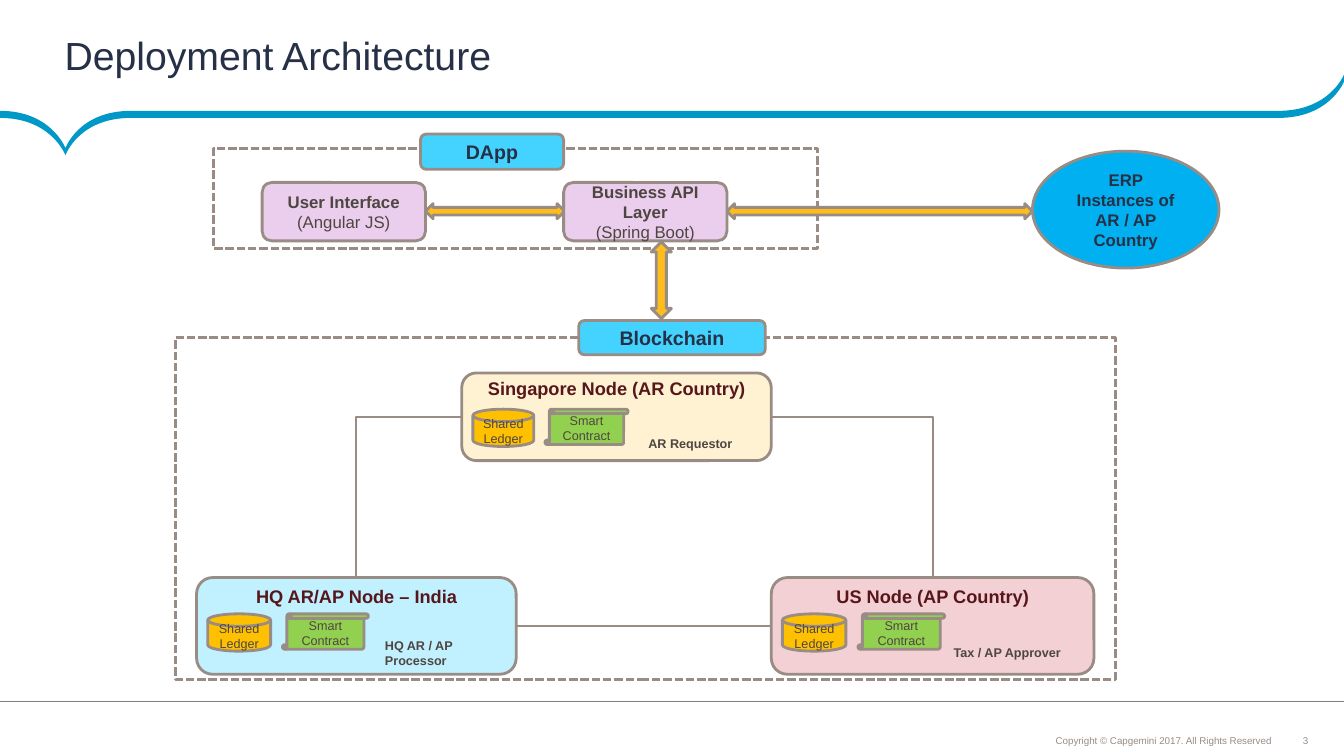
from pptx import Presentation
from pptx.dml.color import RGBColor
from pptx.enum.dml import MSO_LINE
from pptx.enum.shapes import MSO_CONNECTOR, MSO_SHAPE
from pptx.enum.text import MSO_ANCHOR, PP_ALIGN
from pptx.util import Inches, Pt
from lxml.etree import SubElement
from pptx.oxml.ns import qn

GREY, NAVY, BROWN, MAROON = "998C85", "263147", "4E4641", "56161B"
BLUE, SKY, LILAC, AMBER = "0098C7", "44D3FF", "EBCDED", "FFBC1D"
LEFT, CENTER, RIGHT = PP_ALIGN.LEFT, PP_ALIGN.CENTER, PP_ALIGN.RIGHT
TOP, MIDDLE = MSO_ANCHOR.TOP, MSO_ANCHOR.MIDDLE


def color(hex_string):
    return RGBColor.from_string(hex_string)


def add_box(kind, at, text="", fill=None, line=None, dash=None, size=12, ink=BROWN,
            bold=False, align=CENTER, anchor=MIDDLE, ins=(0.1, 0.05, 0.1, 0.05)):
    """Add a shape, or a text box if kind is None; bold marks only the first line."""
    at = [Inches(v) for v in at]
    sp = s.shapes.add_shape(kind, *at) if kind else s.shapes.add_textbox(*at)
    if kind:
        sp.shadow.inherit = False
    if fill:
        sp.fill.solid()
        sp.fill.fore_color.rgb = color(fill)
    else:
        sp.fill.background()
    if line:
        sp.line.color.rgb = color(line)
        sp.line.width = Pt(2)
        sp.line.dash_style = dash
    else:
        sp.line.fill.background()
    tf = sp.text_frame
    tf.word_wrap = True
    tf.vertical_anchor = anchor
    tf.margin_left, tf.margin_top, tf.margin_right, tf.margin_bottom = map(Inches, ins)
    for i, words in enumerate(text.split("\n") if text else []):
        p = tf.paragraphs[0] if i == 0 else tf.add_paragraph()
        p.alignment = align
        r = p.add_run()
        r.text = words
        r.font.name, r.font.size = "Arial", Pt(size)
        r.font.bold = bold and i == 0
        r.font.color.rgb = color(ink)
    return sp


prs = Presentation()
prs.slide_width, prs.slide_height = Inches(13.33), Inches(7.5)
s = prs.slides.add_slide(prs.slide_layouts[6])

# Header band: a start and four Bezier curves, closed by the same edge moved down
edge = [(0, 1.1),
        (0.51, 1.1), (0.65, 1.47), (0.65, 1.47),
        (0.65, 1.47), (0.78, 1.1), (1.3, 1.1),
        (1.3, 1.1), (12.68, 1.1), (12.68, 1.1),
        (13.19, 1.1), (13.33, 0.74), (13.33, 0.74)]
outline = edge + [(x, y + 0.07) for x, y in reversed(edge)]
points = [(Inches(x), Inches(y)) for x, y in outline]
fb = s.shapes.build_freeform(*points[0])
fb.add_line_segments(points[1:], close=True)
band = fb.convert_to_shape()
band.shadow.inherit = False
band.fill.solid()
band.fill.fore_color.rgb = color(BLUE)
band.line.fill.background()

# Each three points along an edge become one curve; the joining side stays straight
segments = list(band._element.iter(qn("a:lnTo")))
for first in (0, 3, 6, 9, 13, 16, 19, 22):
    curve = segments[first]
    for other in segments[first + 1:first + 3]:
        curve.append(other[0])
        other.getparent().remove(other)
    curve.tag = qn("a:cubicBezTo")

# Title and footer
add_box(None, (0, 0, 13.33, 1.1), "Deployment Architecture", size=28, ink=NAVY,
        align=LEFT, ins=(0.64, 0.03, 0.18, 0.05))
add_box(None, (9.07, 7.25, 3.58, 0.2), "Copyright © Capgemini 2017. All Rights Reserved",
        size=7, ink=GREY, align=RIGHT, anchor=MSO_ANCHOR.BOTTOM, ins=(0.04,) * 4)
add_box(None, (12.85, 7.29, 0.2, 0.12), "3", size=7, ink=GREY, ins=(0,) * 4)

add_box(MSO_SHAPE.OVAL, (10.24, 1.5, 1.85, 1.16), "ERP Instances of AR / AP Country",
        fill="00B0F0", line=GREY, ink=NAVY, bold=True)

# Blockchain nodes: box, fill, title, title inset, role, role box, role inset
nodes = [
    ((7.65, 5.73, 3.2, 0.96), "F3D0D3", "US Node (AP Country)", 0.03,
     "Tax / AP Approver", (9.36, 6.35, 1.45, 0.25), 0.1),
    ((4.58, 3.7, 3.07, 0.87), "FFF2D2", "Singapore Node (AR Country)", 0,
     "AR Requestor", (6.2, 4.28, 1.39, 0.18), 0.23),
    ((1.95, 5.73, 3.17, 0.96), "C1F0FF", "HQ AR/AP Node – India", 0.03,
     "HQ AR / AP Processor", (3.72, 6.28, 1.27, 0.38), 0.1),
]
node_shapes = []
for at, fill, title, title_inset, role, role_at, role_inset in nodes:
    x, y, w, h = at
    k = w / 3.2
    node_shapes.append(add_box(MSO_SHAPE.ROUNDED_RECTANGLE, at, title, fill=fill, line=GREY,
                               size=13, ink=MAROON, bold=True, anchor=TOP,
                               ins=(0.1, title_inset, 0.1, 0)))
    add_box(MSO_SHAPE.FLOWCHART_MAGNETIC_DISK, (x + 0.11, y + 0.36, 0.63 * k, 0.37),
            "Shared Ledger", fill="FFC000", line=GREY, size=9, ins=(0.05,) * 4)
    add_box(MSO_SHAPE.VERTICAL_SCROLL, (x + 0.86 * k, y + 0.36, 0.86 * k, 0.35),
            "Smart Contract", fill="92D050", line=GREY, size=9, ins=(0.03, 0.05, 0.03, 0.05))
    add_box(MSO_SHAPE.RECTANGLE, role_at, role, fill=fill, size=9, bold=True,
            align=LEFT, anchor=TOP, ins=(role_inset, 0.05, 0.1, 0.05))

# Links between nodes (sites: 0 top, 1 left, 3 right) and the footer rule
us, singapore, india = node_shapes
links = [
    ("line", (7.65, 6.21, 5.12, 6.21), (us, 1, india, 3), GREY, 1.5),
    ("bentConnector2", (4.58, 4.14, 3.54, 5.73), (singapore, 1, india, 0), GREY, 1.5),
    ("bentConnector2", (7.65, 4.14, 9.25, 5.73), (singapore, 3, us, 0), GREY, 1.5),
    ("line", (13.33, 6.96, 0, 6.96), None, "7F7F7F", 0.75),
]
for preset, ends, glue, ink, width in links:
    c = s.shapes.add_connector(MSO_CONNECTOR.STRAIGHT, *[Inches(v) for v in ends])
    c._element.spPr.prstGeom.set("prst", preset)
    c.line.color.rgb = color(ink)
    c.line.width = Pt(width)
    SubElement(c._element.spPr, qn("a:effectLst"))
    if glue:
        c.begin_connect(*glue[:2])
        c.end_connect(*glue[2:])

# Dashed frames
for at in [(1.74, 3.35, 9.32, 3.39), (2.12, 1.47, 5.99, 1)]:
    add_box(MSO_SHAPE.RECTANGLE, at, line=GREY, dash=MSO_LINE.SQUARE_DOT)

# Application layers, arrows and frame headings
for kind, at in [(MSO_SHAPE.UP_DOWN_ARROW, (6.46, 2.4, 0.2, 0.76)),
                 (MSO_SHAPE.LEFT_RIGHT_ARROW, (7.21, 2.02, 3.03, 0.15)),
                 (MSO_SHAPE.LEFT_RIGHT_ARROW, (4.22, 2.02, 1.38, 0.15))]:
    add_box(kind, at, fill=AMBER, line=GREY)
for x, text in [(2.6, "User Interface\n(Angular JS)"),
                (5.59, "Business API Layer\n(Spring Boot)")]:
    add_box(MSO_SHAPE.ROUNDED_RECTANGLE, (x, 1.81, 1.62, 0.58), text, fill=LILAC,
            line=GREY, bold=True)
for text, at in [("DApp", (4.17, 1.33, 1.42, 0.35)), ("Blockchain", (5.74, 3.18, 1.85, 0.34))]:
    add_box(MSO_SHAPE.ROUNDED_RECTANGLE, at, text, fill=SKY, line=GREY, size=14,
            ink=NAVY, bold=True)

prs.save("out.pptx")
